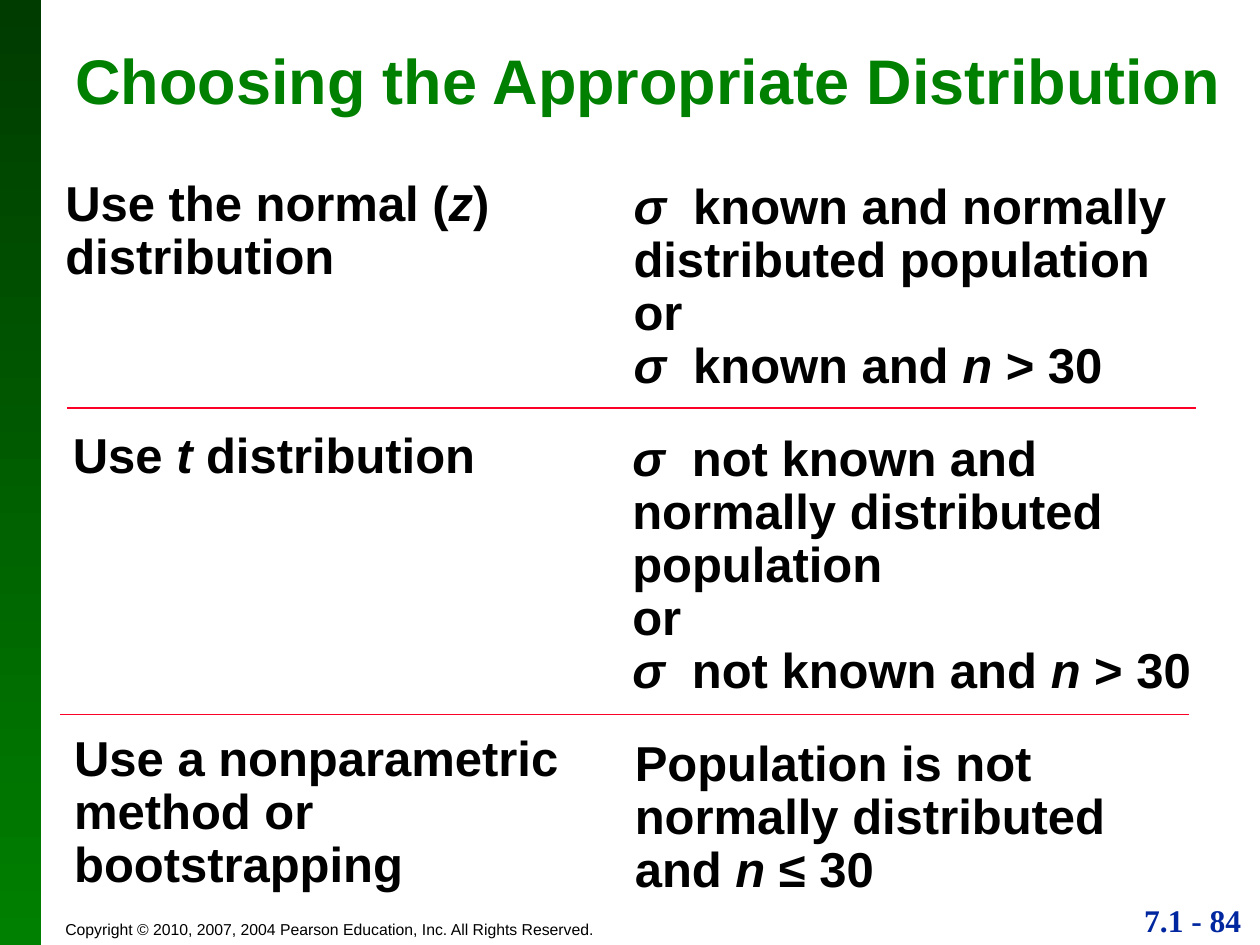
from dataclasses import dataclass

import pptx
import pptx.dml.color
import pptx.enum.shapes
import pptx.enum.text
import pptx.oxml.ns
import pptx.slide
import pptx.util
from lxml import etree

# The slide is a grid of 100 columns and 75 rows.
CELL = pptx.util.Inches(0.1)
COLUMNS, ROWS = 100, 75
COLORS = {
    "dark green": "003B00",
    "green": "008000",
    "black": "000000",
    "blue": "00279F",
    "red": "FC0128",
}
ALIGN = pptx.enum.text.PP_ALIGN
ANCHOR = pptx.enum.text.MSO_ANCHOR


@dataclass(frozen=True)
class Area:
    column: float
    row: float
    columns: float
    rows: float


@dataclass(frozen=True)
class Choice:
    """A method on the left and, on the right, the conditions calling for it."""
    method: str
    method_area: Area
    conditions: str
    conditions_area: Area


@dataclass(frozen=True)
class Divider:
    column: float
    row: float


CHOICES = [
    Choice("Use the normal (*z*) distribution", Area(4.2, 13.7, 45.2, 23.4),
           "*σ*  known and normally distributed population\nor\n"
           "*σ*  known and *n* > 30", Area(49.3, 14, 47, 22.4)),
    Choice("Use *t* distribution", Area(4.8, 33.7, 45.2, 23.1),
           "*σ*  not known and normally distributed population\nor\n"
           "*σ*  not known and *n* > 30", Area(49.2, 34, 47, 22.4)),
    Choice("Use a nonparametric method or bootstrapping",
           Area(4.9, 57.8, 45.2, 14.1),
           "Population is not normally distributed and *n* ≤ 30",
           Area(49.4, 58.2, 47, 13.7)),
]
DIVIDERS = [Divider(5.3, 32.4), Divider(4.8, 56.7)]
DIVIDER_COLUMNS = 89.6


def cells(count: float) -> int:
    return round(count * CELL)


def color(name: str) -> pptx.dml.color.RGBColor:
    return pptx.dml.color.RGBColor.from_string(COLORS[name])


def box(area: Area) -> tuple[int, int, int, int]:
    return (cells(area.column), cells(area.row),
            cells(area.columns), cells(area.rows))


def add_text(slide: pptx.slide.Slide, text: str, area: Area, *,
             size: float = 28, font: str = "Arial", ink: str = "black",
             bold: bool = True, align: ALIGN = ALIGN.LEFT,
             anchor: ANCHOR = ANCHOR.TOP, spacing: float = 1.0) -> None:
    """Add a text box; *asterisks* mark italics and \\n a line break."""
    frame = slide.shapes.add_textbox(*box(area)).text_frame
    frame.word_wrap = True
    frame.vertical_anchor = anchor
    paragraph = frame.paragraphs[0]
    paragraph.alignment = align
    paragraph.line_spacing = spacing
    for part_index, part in enumerate(text.split("*")):
        for line_index, line in enumerate(part.split("\n")):
            if line_index:
                paragraph.add_line_break()
            if not line:
                continue
            run = paragraph.add_run()
            run.text = line
            run.font.name = font
            run.font.size = pptx.util.Pt(size)
            run.font.bold = bold
            run.font.italic = part_index % 2 == 1
            run.font.color.rgb = color(ink)


def add_side_band(slide: pptx.slide.Slide) -> None:
    band = slide.shapes.add_shape(pptx.enum.shapes.MSO_SHAPE.RECTANGLE,
                                  *box(Area(0, 0, 3.3, ROWS)))
    band.shadow.inherit = False
    band.line.fill.background()
    band.fill.gradient()
    band.fill.gradient_angle = 270
    for stop, position, name in zip(band.fill.gradient_stops, (0, 1),
                                    ("dark green", "green")):
        stop.position = position
        stop.color.rgb = color(name)


def add_divider(slide: pptx.slide.Slide, divider: Divider) -> None:
    line = slide.shapes.add_connector(
        pptx.enum.shapes.MSO_CONNECTOR.STRAIGHT,
        cells(divider.column), cells(divider.row),
        cells(divider.column + DIVIDER_COLUMNS), cells(divider.row))
    line.line.color.rgb = color("red")
    line.line.width = pptx.util.Pt(1)
    etree.SubElement(line._element.spPr, pptx.oxml.ns.qn("a:effectLst"))


def main() -> None:
    presentation = pptx.Presentation()
    presentation.slide_width = cells(COLUMNS)
    presentation.slide_height = cells(ROWS)
    slide = presentation.slides.add_slide(presentation.slide_layouts[6])

    add_side_band(slide)
    add_text(slide, "7.1 - 84", Area(86.2, 71, 13.3, 4), size=18,
             font="Times New Roman", ink="blue", align=ALIGN.RIGHT)
    add_text(slide, "Copyright © 2010, 2007, 2004 Pearson Education, Inc. "
             "All Rights Reserved.", Area(4.2, 70, 69.2, 5), size=9,
             bold=False, anchor=ANCHOR.BOTTOM)
    add_text(slide, "Choosing the Appropriate Distribution",
             Area(4.6, 2, 93.7, 8.6), size=36, ink="green",
             align=ALIGN.CENTER, anchor=ANCHOR.MIDDLE)
    for choice in CHOICES:
        add_text(slide, choice.method, choice.method_area, spacing=0.9)
        add_text(slide, choice.conditions, choice.conditions_area, spacing=0.9)
    for divider in DIVIDERS:
        add_divider(slide, divider)

    presentation.save("out.pptx")


if __name__ == "__main__":
    main()
